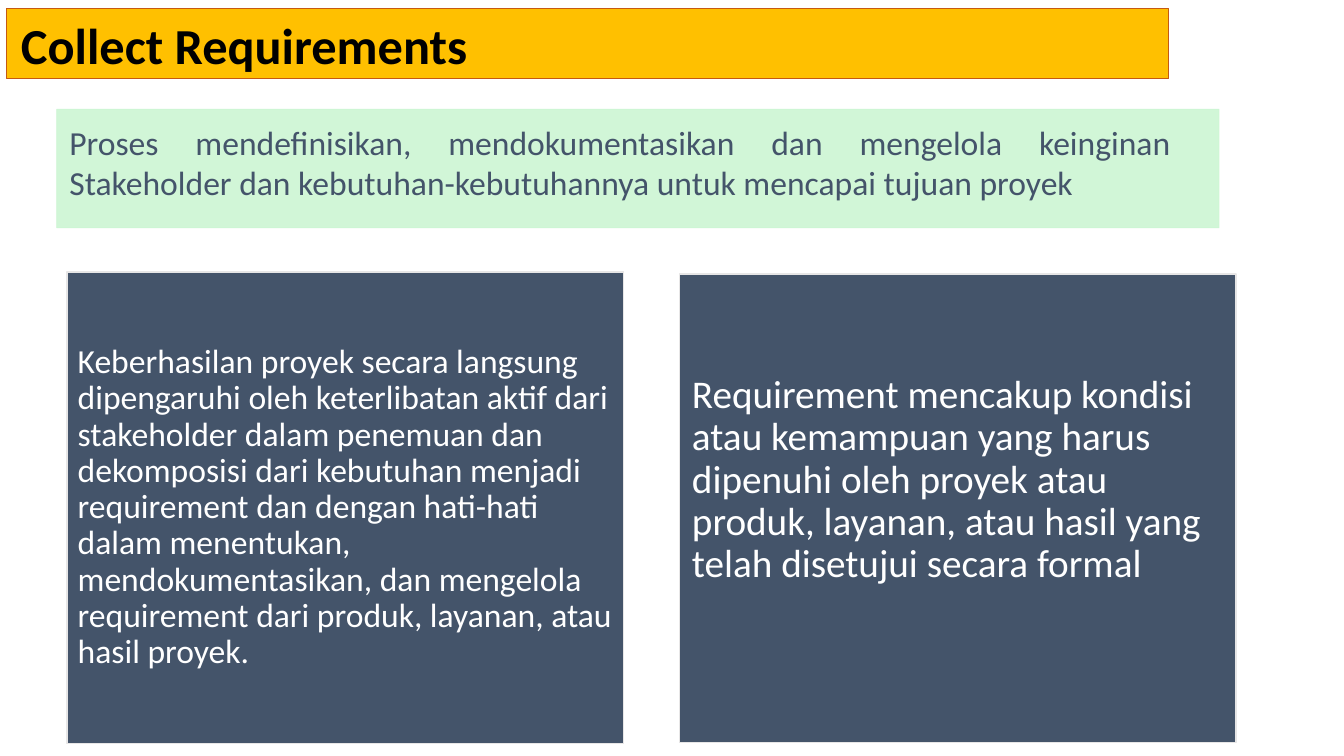
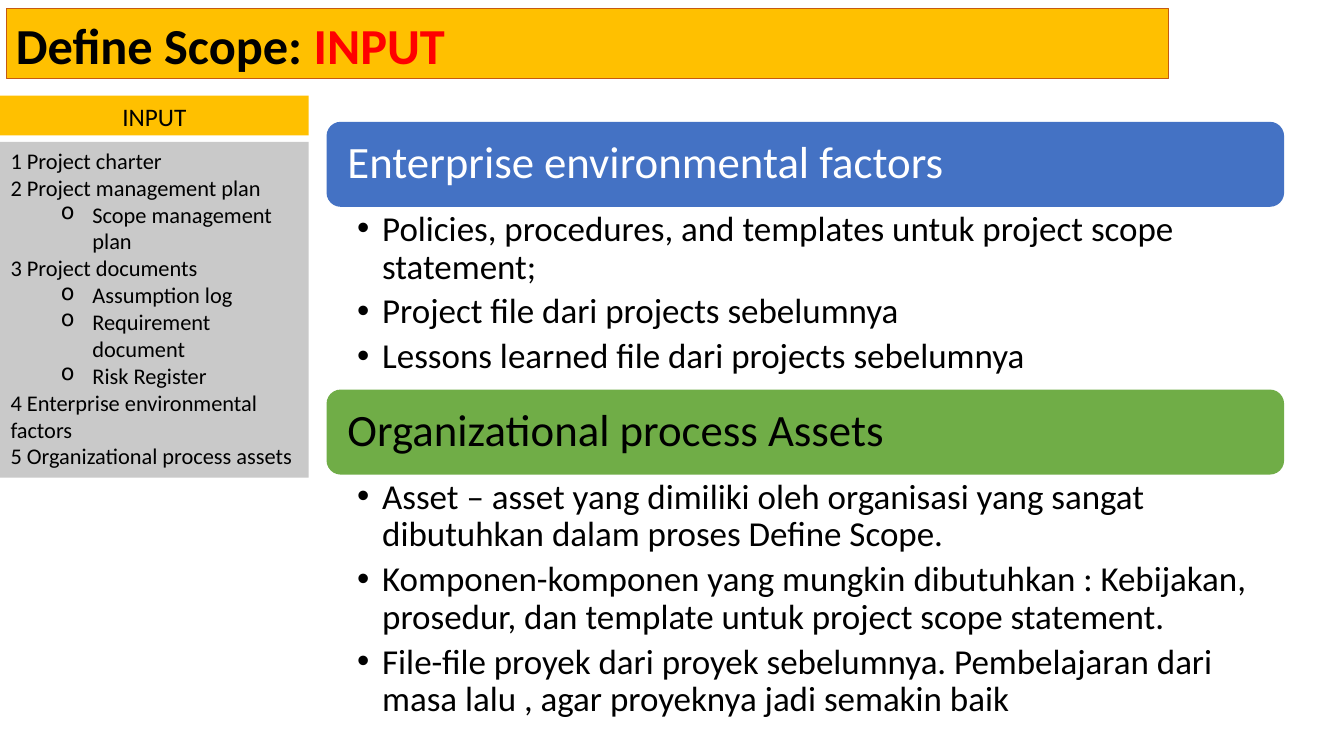
import pptx
import pptx.dml.color
import pptx.enum.shapes
import pptx.enum.text
import pptx.oxml
import pptx.oxml.ns
import pptx.util

FONT = "Calibri"
GOLD, RUST, SLATE, PALE = "FFC000", "C55A11", "44546A", "E7E6E6"
MINT, BLUE, GREEN, GREY = "CCF6D3", "4472C4", "70AD47", "C9C9C9"
BLACK, WHITE, RED = "000000", "FFFFFF", "FF0000"
KIND = pptx.enum.shapes.MSO_SHAPE
ALIGN = pptx.enum.text.PP_ALIGN
TOP = pptx.enum.text.MSO_ANCHOR.TOP
MID = pptx.enum.text.MSO_ANCHOR.MIDDLE


def px(num):
    return pptx.util.Emu(num * 9525)


def ink(form, code, alpha=100):
    form.solid()
    form.fore_color.rgb = pptx.dml.color.RGBColor.from_string(code)
    if alpha < 100:
        node = pptx.oxml.parse_xml(
            f'<a:alpha {pptx.oxml.ns.nsdecls("a")} val="{alpha * 1000}"/>')
        form._xPr.find(".//" + pptx.oxml.ns.qn("a:srgbClr")).append(node)


def place(shape, box):
    shape.left, shape.top, shape.width, shape.height = map(px, box)


def paint(shape, fill, edge=None, width=1, alpha=100):
    ink(shape.fill, fill, alpha)
    if edge:
        ink(shape.line.fill, edge, alpha)
        shape.line.width = pptx.util.Pt(width)
    else:
        shape.line.fill.background()


def block(slide, box, fill, kind=KIND.RECTANGLE, **look):
    shape = slide.shapes.add_shape(kind, *map(px, box))
    shape.shadow.inherit = False
    paint(shape, fill, **look)
    return shape


def frame(shape, pads=(10, 5, 10, 5), anchor=TOP):
    text = shape.text_frame
    text.word_wrap = True
    text.auto_size = pptx.enum.text.MSO_AUTO_SIZE.NONE
    text.vertical_anchor = anchor
    (text.margin_left, text.margin_top,
     text.margin_right, text.margin_bottom) = map(px, pads)
    return text


def mark(para, sign, left, hang):
    props = para._p.get_or_add_pPr()
    props.set("marL", str(px(left)))
    props.set("indent", str(px(-hang)))
    bullet = f'buChar {{}} char="{sign}"' if sign else "buNone {}"
    props.append(pptx.oxml.parse_xml(
        f'<a:{bullet.format(pptx.oxml.ns.nsdecls("a"))}/>'))


def write(text, paras, size, color=BLACK, bold=False, align=ALIGN.LEFT,
          space=1.0, after=0, bullet=(None, 0, 0)):
    for num, runs in enumerate(paras):
        para = text.add_paragraph() if num else text.paragraphs[0]
        nested = isinstance(runs, tuple)
        para.level = int(nested)
        mark(para, *(("o", 78, 30) if nested else bullet))
        para.alignment = align
        para.line_spacing = space
        para.space_before = pptx.util.Pt(0)
        para.space_after = pptx.util.Pt(after)
        for part in runs if isinstance(runs, (list, tuple)) else [runs]:
            words, tint = part if isinstance(part, tuple) else (part, color)
            run = para.add_run()
            run.text = words
            run.font.name = FONT
            run.font.size = pptx.util.Pt(size)
            run.font.bold = bold
            ink(run.font.fill, tint)


def title(slide, runs, pad=9):
    shape = slide.shapes.title
    place(shape, (6, 8, 1107, 67))
    paint(shape, GOLD, RUST, 0.75)
    write(frame(shape, (pad, 5, 9, 5)), [runs], 36, bold=True)


def intro(slide, box, words):
    shape = block(slide, box, MINT, edge=MINT, width=0.5, alpha=90)
    write(frame(shape, (12, 12, 46, 17)), [words], 24, SLATE,
          align=ALIGN.JUSTIFY)


def panel(shape, box, words, size, pads):
    place(shape, box)
    paint(shape, SLATE, PALE)
    write(frame(shape, pads, MID), [words], size, WHITE, space=0.9)


def side(slide, box, head, items):
    left, top, width, height = box
    bar, gap = 38, 6
    label = block(slide, (left, top, width, bar), GOLD)
    write(frame(label), [head], 18, align=ALIGN.CENTER)
    drop = bar + gap
    body = block(slide, (left, top + drop, width, height - drop), GREY)
    write(frame(body), items, 16)


def topic(slide, holder, box, head, fill, color, items):
    left, top, width, height = box
    bar = 81
    label = block(slide, (left, top, width, bar), fill,
                  KIND.ROUNDED_RECTANGLE)
    write(frame(label, (16, 16, 16, 16), MID), [head], 32, color, space=0.9)
    place(holder, (left, top + bar, width, height - bar))
    write(frame(holder, (29, 4, 24, 4)), items, 25, space=0.9, after=5,
          bullet=("•", 24, 24))


def collect(deck):
    slide = deck.slides.add_slide(deck.slide_layouts[3])
    title(slide, ["Collect Requirements"], 14)
    intro(slide, (54, 104, 1107, 113),
          "Proses mendefinisikan, mendokumentasikan dan mengelola keinginan "
          "Stakeholder dan kebutuhan-kebutuhannya untuk mencapai tujuan proyek")
    panel(slide.placeholders[1], (64, 259, 530, 449),
          "Keberhasilan proyek secara langsung dipengaruhi oleh keterlibatan "
          "aktif dari stakeholder dalam penemuan dan dekomposisi dari "
          "kebutuhan menjadi requirement dan dengan hati-hati dalam "
          "menentukan, mendokumentasikan, dan mengelola requirement dari "
          "produk, layanan, atau hasil proyek.", 24, (10, 10, 10, 10))
    panel(slide.placeholders[2], (647, 261, 530, 446),
          "Requirement mencakup kondisi atau kemampuan yang harus dipenuhi "
          "oleh proyek atau produk, layanan, atau hasil yang telah disetujui "
          "secara formal", 28, (12, 12, 12, 65))


def define(deck):
    slide = deck.slides.add_slide(deck.slide_layouts[3])
    title(slide, ["Define Scope: ", ("INPUT", RED)])
    side(slide, (0, 91, 294, 364), "INPUT", [
        "1 Project charter",
        "2 Project management plan",
        ("Scope management plan",),
        "3 Project documents",
        ("Assumption log",),
        ("Requirement document",),
        ("Risk Register",),
        "4 Enterprise environmental factors",
        "5 Organizational process assets",
    ])
    topics = [
        ("Enterprise environmental factors", BLUE, WHITE, 255, [
            "Policies, procedures, and templates untuk project scope "
            "statement;",
            "Project file dari projects sebelumnya",
            "Lessons learned file dari projects sebelumnya",
        ]),
        ("Organizational process Assets", GREEN, BLACK, 331, [
            "Asset – asset yang dimiliki oleh organisasi yang sangat "
            "dibutuhkan dalam proses Define Scope.",
            "Komponen-komponen yang mungkin dibutuhkan : Kebijakan, "
            "prosedur, dan template untuk project scope statement.",
            "File-file proyek dari proyek sebelumnya. Pembelajaran dari "
            "masa lalu , agar proyeknya jadi semakin baik",
        ]),
    ]
    top = 116
    for num, (head, fill, color, height, items) in enumerate(topics, 1):
        topic(slide, slide.placeholders[num], (311, top, 912, height),
              head, fill, color, items)
        top += height


def main():
    deck = pptx.Presentation()
    deck.slide_width, deck.slide_height = px(1280), px(720)
    collect(deck)
    define(deck)
    deck.save("out.pptx")


if __name__ == "__main__":
    main()
